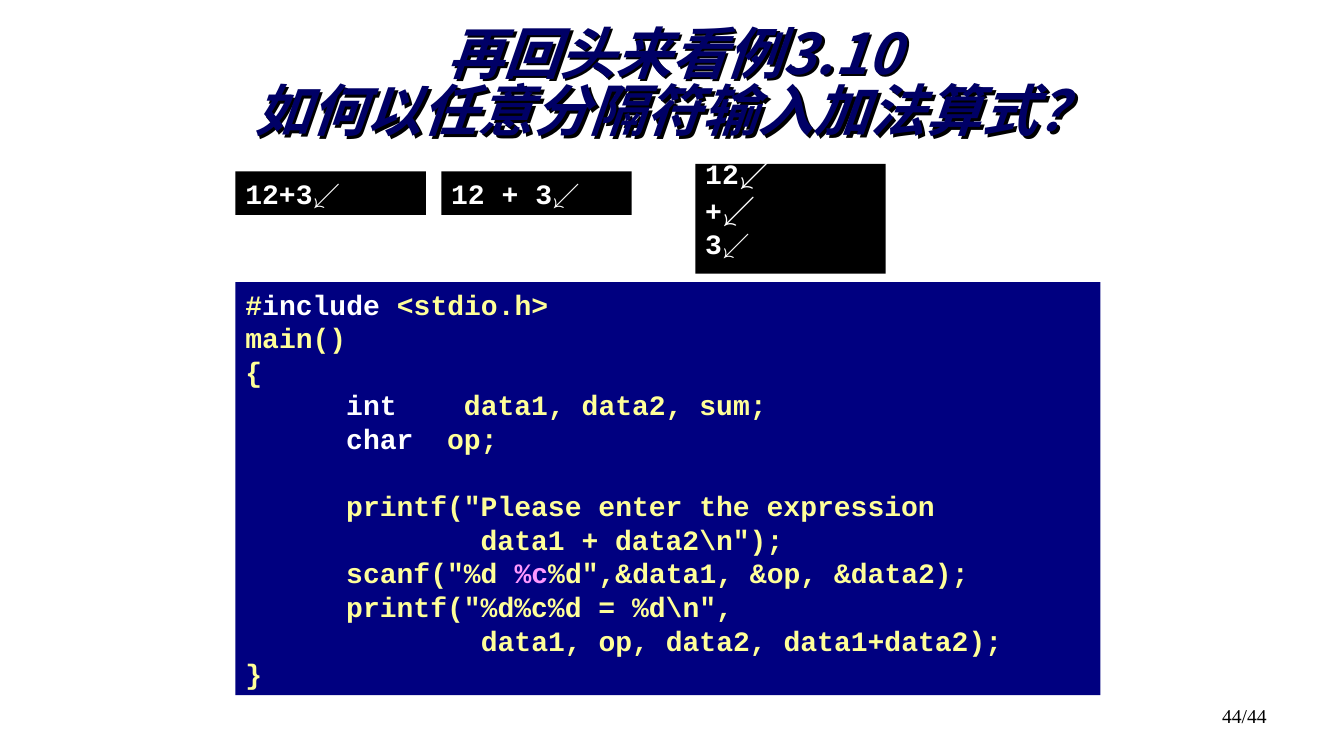
import pptx
import pptx.util
import pptx.dml.color
import pptx.enum.shapes
import pptx.enum.text
import pptx.oxml
import pptx.oxml.ns

Pt = pptx.util.Pt
RGB = pptx.dml.color.RGBColor
ALIGN = pptx.enum.text.PP_ALIGN
ANCHOR = pptx.enum.text.MSO_ANCHOR
SPACE = pptx.oxml.ns.nsdecls("a")

NAVY = RGB(0x00, 0x00, 0x80)
INK = RGB(0x00, 0x00, 0x66)
BLACK = RGB(0x00, 0x00, 0x00)
WHITE = RGB(0xFF, 0xFF, 0xFF)
CREAM = RGB(0xFF, 0xFF, 0x99)
PINK = RGB(0xFF, 0x99, 0xFF)

MONO = "Courier New"
SERIF = "Times New Roman"
HAN = "Noto Sans CJK SC"

CODE = [
    [("#", CREAM), ("include", WHITE), (" <stdio.h>", CREAM)],
    [("main()", CREAM)],
    [("{", CREAM)],
    [("\t", CREAM), ("int", WHITE), ("    data1, data2, sum;", CREAM)],
    [("\t", CREAM), ("char", WHITE), ("  op;", CREAM)],
    [("     ", CREAM)],
    [("\tprintf(\"Please enter the expression", CREAM)],
    [("\t\t  data1 + data2\\n\");", CREAM)],
    [("\tscanf(\"%d ", CREAM), ("%c", PINK),
     ("%d\",&data1, &op, &data2);", CREAM)],
    [("\tprintf(\"%d%c%d = %d\\n\",", CREAM)],
    [("              data1, op, data2, data1+data2);", CREAM)],
    [("}", CREAM)],
]


def add_run(para, text, size, color, face=MONO, bold=True):
    run = para.add_run()
    run.text = text
    font = run.font
    font.name, font.size, font.bold = face, Pt(size), bold
    font.color.rgb = color
    return run


def add_box(slide, box, fill):
    """Add a plain filled rectangle and return its text frame."""
    kind = pptx.enum.shapes.MSO_SHAPE.RECTANGLE
    shape = slide.shapes.add_shape(kind, *map(Pt, box))
    shape.shadow.inherit = False
    shape.fill.solid()
    shape.fill.fore_color.rgb = fill
    shape.line.fill.background()
    frame = shape.text_frame
    frame.word_wrap = True
    frame.vertical_anchor = ANCHOR.TOP
    return frame


def add_lines(frame, count, gap=0, pitch=None):
    """Yield left-aligned paragraphs with a gap between them."""
    for i in range(count):
        para = frame.add_paragraph() if i else frame.paragraphs[0]
        para.alignment = ALIGN.LEFT
        if i and gap:
            para.space_before = Pt(gap)
        if pitch:
            para.line_spacing = pitch
        yield para


def set_tabs(para):
    """Put tab stops one and two inches into the line."""
    stops = "".join(f'<a:tab pos="{Pt(72 * n)}" algn="l"/>' for n in (1, 2))
    tabs = pptx.oxml.parse_xml(f"<a:tabLst {SPACE}>{stops}</a:tabLst>")
    para._p.get_or_add_pPr().append(tabs)


def add_title(slide, box):
    shape = slide.shapes.add_textbox(*map(Pt, box))
    shape._element.spPr.append(pptx.oxml.parse_xml(
        f'<a:effectLst {SPACE}><a:outerShdw dist="{Pt(2.83)}" dir="2700000">'
        f'<a:srgbClr val="{BLACK}"/></a:outerShdw></a:effectLst>'))
    frame = shape.text_frame
    frame.word_wrap = True
    frame.vertical_anchor = ANCHOR.MIDDLE
    para = frame.paragraphs[0]
    para.alignment = ALIGN.CENTER
    para.line_spacing = 0.85
    for i, text in enumerate(["再回头来看例3.10", "如何以任意分隔符输入加法算式？"]):
        if i:
            para.add_line_break()
        font = add_run(para, text, 40, INK, HAN).font
        font.italic = True
        east = pptx.oxml.parse_xml(f'<a:ea {SPACE} typeface="{HAN}"/>')
        font._element.find(pptx.oxml.ns.qn("a:latin")).addnext(east)


def add_inputs(slide, box):
    """Show the three ways of typing the sum."""
    left, top, width, height = box
    for x, text in [(left, "12+3↙"), (left + 147, "12 + 3↙")]:
        frame = add_box(slide, (x, top, width, height), BLACK)
        add_run(frame.paragraphs[0], text, 20, WHITE)
        frame.paragraphs[0].alignment = ALIGN.LEFT
    frame = add_box(slide, (left + 328.5, top - 5.5, width, 78.5), BLACK)
    keys = [("12", 24, SERIF), ("+", 24, SERIF), ("3", 20, MONO)]
    paras = add_lines(frame, len(keys), 11.5, 0.5)
    for para, (key, size, face) in zip(paras, keys):
        add_run(para, key, 20, WHITE)
        add_run(para, "↙", size, WHITE, face)


def add_code(slide, box):
    frame = add_box(slide, box, NAVY)
    for para, parts in zip(add_lines(frame, len(CODE)), CODE):
        set_tabs(para)
        for text, color in parts:
            add_run(para, text, 20, color)


def add_number(slide, box):
    frame = slide.shapes.add_textbox(*map(Pt, box)).text_frame
    frame.word_wrap = True
    para = frame.paragraphs[0]
    para.alignment = ALIGN.RIGHT
    add_run(para, "44/44", 14, BLACK, SERIF, False)


def main():
    deck = pptx.Presentation()
    deck.slide_width, deck.slide_height = Pt(960), Pt(540)
    slide = deck.slides.add_slide(deck.slide_layouts[6])
    add_number(slide, (688, 499, 224, 37.5))
    add_code(slide, (168.2, 201.5, 617.8, 295))
    add_inputs(slide, (168.2, 122.5, 136, 31))
    add_title(slide, (131, 28.2, 700.5, 66))
    deck.save("out.pptx")


if __name__ == "__main__":
    main()
